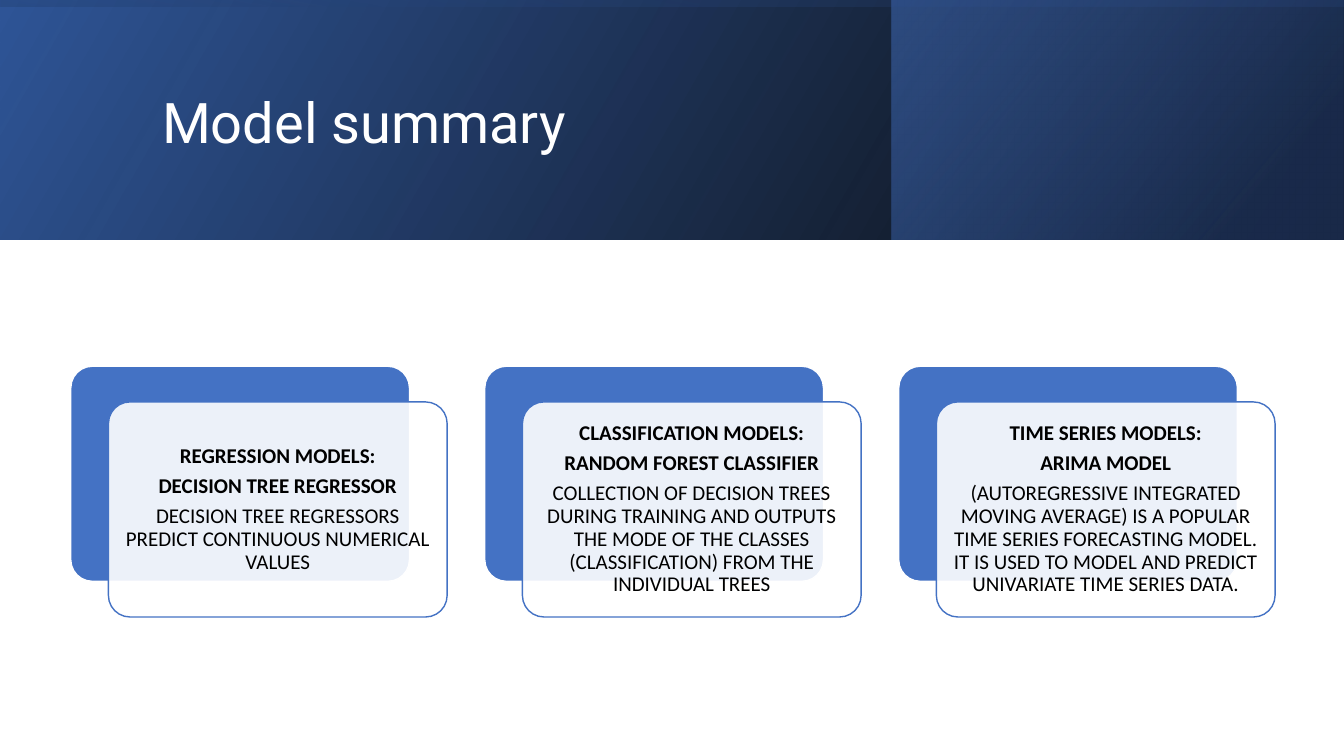
"""Build the model summary slide: a gradient header above three layered cards."""
from lxml.etree import SubElement
from pptx import Presentation
from pptx.dml.color import RGBColor as Rgb
from pptx.enum.shapes import MSO_SHAPE as Preset
from pptx.enum.text import MSO_ANCHOR as Anchor, MSO_AUTO_SIZE as AutoSize, PP_ALIGN as Align
from pptx.oxml.ns import qn
from pptx.util import Pt

TITLE = "Model summary"
CARDS = [
    ("REGRESSION MODELS:", "DECISION TREE REGRESSOR",
     "DECISION TREE REGRESSORS PREDICT CONTINUOUS NUMERICAL VALUES"),
    ("CLASSIFICATION MODELS:", "RANDOM FOREST CLASSIFIER",
     "COLLECTION OF DECISION TREES DURING TRAINING AND OUTPUTS THE MODE OF THE "
     "CLASSES (CLASSIFICATION) FROM THE INDIVIDUAL TREES"),
    ("TIME SERIES MODELS:", "ARIMA MODEL",
     "(AUTOREGRESSIVE INTEGRATED MOVING AVERAGE) IS A POPULAR TIME SERIES "
     "FORECASTING MODEL. IT IS USED TO MODEL AND PREDICT UNIVARIATE TIME SERIES DATA."),
]
COLORS = {"white": "FFFFFF", "black": "000000", "blue": "4472C4",
          "deep": "2F5597", "navy": "203864"}
WIDTH, HEIGHT, HEADER = 960, 540, 170.9
BANDS = [
    {"place": (0, 0, WIDTH, HEADER), "rotation": 0, "angle": 30,
     "stops": [(0, "black", 96), (100, "deep", 100)]},
    {"place": (636.8, 0, 322.8, HEADER), "rotation": 0, "angle": 40,
     "stops": [(19, "navy", 68), (100, "blue", 48)]},
    {"place": ((WIDTH - HEADER) / 2, (HEADER - WIDTH) / 2, HEADER, WIDTH),
     "rotation": 270, "angle": 10,
     "stops": [(23, "deep", 16), (99, "black", 45)]},
]
TITLE_PLACE = (108.6, 27.4, 765.4, 123.8)
CARD_LEFT, CARD_TOP, CARD_WIDTH, CARD_HEIGHT = 50.6, 261.6, 241.9, 153.6
CARD_PITCH, SHIFT_X, SHIFT_Y, LABEL_INSET, LABEL_MARGIN = 295.7, 26.9, 25.5, 4.5, 4.5


def color(name):
    return Rgb.from_string(COLORS[name])


def assign(target, values):
    for name, value in values.items():
        setattr(target, name, value)


def set_alpha(color_element, percent):
    SubElement(color_element, qn("a:alpha")).set("val", str(percent * 1000))


def add_box(slide, preset, place):
    box = slide.shapes.add_shape(preset, *map(Pt, place))
    box.shadow.inherit = False
    return box


def add_band(slide, band):
    box = add_box(slide, Preset.RECTANGLE, band["place"])
    box.rotation = band["rotation"]
    next(box.element.iter(qn("a:xfrm"))).set("flipH", "1")
    box.line.fill.background()
    box.fill.gradient()
    box.fill.gradient_angle = band["angle"]
    for stop, (position, name, _) in zip(box.fill.gradient_stops, band["stops"]):
        stop.position = position / 100
        stop.color.rgb = color(name)
    for element, (_, _, percent) in zip(box.element.iter(qn("a:srgbClr")), band["stops"]):
        set_alpha(element, percent)


def add_panel(slide, place, fill, line, opacity):
    box = add_box(slide, Preset.ROUNDED_RECTANGLE, place)
    box.adjustments[0] = 0.1
    box.fill.solid()
    box.fill.fore_color.rgb = color(fill)
    set_alpha(next(box.element.iter(qn("a:srgbClr"))), opacity)
    box.line.color.rgb = color(line)
    box.line.width = Pt(1)


def write(para, text, font, para_format):
    span = para.add_run()
    span.text = text
    name = font.pop("color")
    assign(span.font, font)
    span.font.color.rgb = color(name)
    assign(para, para_format)


def add_card(slide, index, lines):
    left = CARD_LEFT + index * CARD_PITCH
    front_left, front_top = left + SHIFT_X, CARD_TOP + SHIFT_Y
    size = (CARD_WIDTH, CARD_HEIGHT)
    add_panel(slide, (left, CARD_TOP, *size), "blue", "white", 100)
    add_panel(slide, (front_left, front_top, *size), "white", "blue", 90)
    label = slide.shapes.add_textbox(
        Pt(front_left + LABEL_INSET), Pt(front_top + LABEL_INSET),
        Pt(CARD_WIDTH - 2 * LABEL_INSET), Pt(CARD_HEIGHT - 2 * LABEL_INSET))
    frame = label.text_frame
    margins = {f"margin_{side}": Pt(LABEL_MARGIN) for side in ("left", "top", "right", "bottom")}
    assign(frame, {"word_wrap": True, "vertical_anchor": Anchor.MIDDLE, **margins})
    for number, text in enumerate(lines):
        para = frame.add_paragraph() if number else frame.paragraphs[0]
        write(para, text,
              {"name": "Calibri", "size": Pt(15), "bold": number < 2, "color": "black"},
              {"alignment": Align.CENTER, "line_spacing": 0.9, "space_after": Pt(5.25)})


def add_title(slide):
    title = slide.shapes.title
    assign(title, dict(zip(("left", "top", "width", "height"), map(Pt, TITLE_PLACE))))
    assign(title.text_frame, {"word_wrap": True, "auto_size": AutoSize.NONE,
                              "vertical_anchor": Anchor.MIDDLE})
    write(title.text_frame.paragraphs[0], TITLE,
          {"name": "Roboto", "size": Pt(40), "color": "white"},
          {"alignment": Align.LEFT, "line_spacing": 0.9})
    slide.shapes.element.append(title.element)


def main():
    deck = Presentation()
    assign(deck, {"slide_width": Pt(WIDTH), "slide_height": Pt(HEIGHT)})
    slide = deck.slides.add_slide(deck.slide_layouts[5])
    for band in BANDS:
        add_band(slide, band)
    add_title(slide)
    for index, lines in enumerate(CARDS):
        add_card(slide, index, lines)
    deck.save("out.pptx")


if __name__ == "__main__":
    main()
